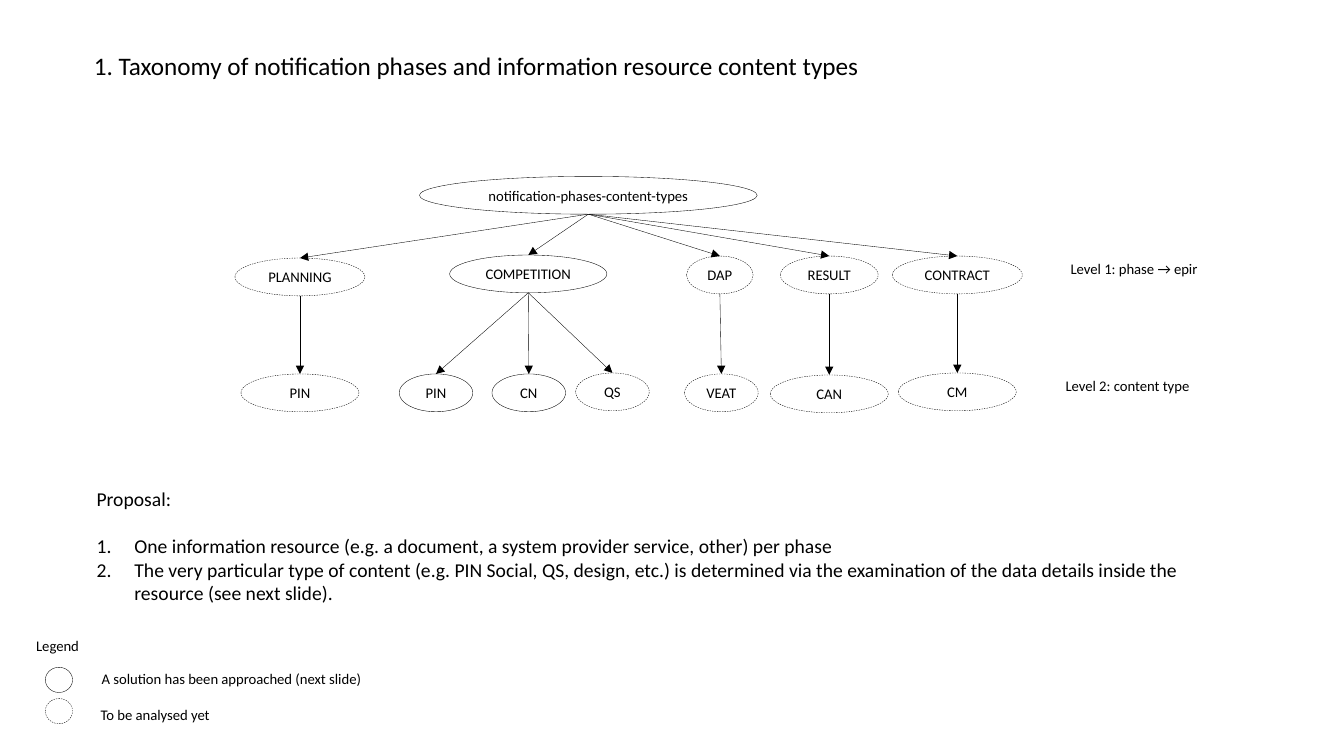
import dataclasses

import pptx
import pptx.dml.color
import pptx.enum.dml
import pptx.enum.shapes
import pptx.enum.text
import pptx.oxml.ns
import pptx.util
from lxml import etree
from pptx.util import Inches


@dataclasses.dataclass(frozen=True)
class Theme:
    font: str = "Calibri"
    ink: pptx.dml.color.RGBColor = pptx.dml.color.RGBColor(0, 0, 0)
    paper: pptx.dml.color.RGBColor = pptx.dml.color.RGBColor(255, 255, 255)
    title: float = 18
    body: float = 14
    label: float = 10.5
    line: float = 0.25


theme = Theme()
align = pptx.enum.text.PP_ALIGN
anchor = pptx.enum.text.MSO_ANCHOR
fit_text = pptx.enum.text.MSO_AUTO_SIZE.SHAPE_TO_FIT_TEXT
qualified = pptx.oxml.ns.qn


def write_text(paragraph, text, size=theme.label, alignment=align.LEFT, space_before=0, numbered=False):
    paragraph.alignment = alignment
    paragraph.space_before = pptx.util.Pt(space_before)
    if numbered:
        properties = paragraph._p.get_or_add_pPr()
        properties.set("marL", str(Inches(0.375)))
        properties.set("indent", str(Inches(-0.375)))
        etree.SubElement(properties, qualified("a:buAutoNum"), type="arabicPeriod")
    run = paragraph.add_run()
    run.text = text
    run.font.name = theme.font
    run.font.size = pptx.util.Pt(size)
    run.font.color.rgb = theme.ink


def add_ellipse(text, left, top, width, height, solved):
    shape = slide.shapes.add_shape(
        pptx.enum.shapes.MSO_SHAPE.OVAL, Inches(left), Inches(top), Inches(width), Inches(height))
    shape.shadow.inherit = False
    shape.fill.background()
    shape.line.color.rgb = theme.ink
    shape.line.width = pptx.util.Pt(theme.line)
    if not solved:
        shape.line.dash_style = pptx.enum.dml.MSO_LINE.DASH
    if text:
        shape.text_frame.word_wrap = False
        shape.text_frame.vertical_anchor = anchor.MIDDLE
        write_text(shape.text_frame.paragraphs[0], text, alignment=align.CENTER)
    return shape


presentation = pptx.Presentation()
presentation.slide_width = Inches(13.33)
presentation.slide_height = Inches(7.5)
slide = presentation.slides.add_slide(presentation.slide_layouts[5])
slide.background.fill.solid()
slide.background.fill.fore_color.rgb = theme.paper

title = slide.shapes.title
title.left, title.top, title.width, title.height = map(Inches, (0.83, 0.45, 7.82, 0.71))
title.text_frame.word_wrap = False
title.text_frame.auto_size = fit_text
title.text_frame.vertical_anchor = anchor.TOP
write_text(title.text_frame.paragraphs[0],
           "1. Taxonomy of notification phases and information resource content types", size=theme.title)

node_height = 0.375
phases = [
    ("PLANNING", 2.33, 2.56, 1.29, False, [("PIN", 2.39, 3.71, 1.17, False)]),
    ("COMPETITION", 4.46, 2.53, 1.56, True, [
        ("PIN", 3.96, 3.71, 0.73, True),
        ("CN", 4.88, 3.71, 0.73, True),
        ("QS", 5.71, 3.7, 0.73, False),
    ]),
    ("DAP", 6.81, 2.54, 0.66, False, [("VEAT", 6.79, 3.71, 0.73, False)]),
    ("RESULT", 7.74, 2.54, 0.97, False, [("CAN", 7.64, 3.72, 1.17, False)]),
    ("CONTRACT", 8.85, 2.54, 1.29, False, [("CM", 8.91, 3.7, 1.17, False)]),
]
root = add_ellipse("notification-phases-content-types", 4.16, 1.75, 3.35, node_height, True)
links = []
for name, left, top, width, solved, contents in phases:
    phase = add_ellipse(name, left, top, width, node_height, solved)
    links.append((root, phase))
    for content, content_left, content_top, content_width, content_solved in contents:
        content_type = add_ellipse(
            content, content_left, content_top, content_width, node_height, content_solved)
        links.append((phase, content_type))

for parent, child in links:
    arrow = slide.shapes.add_connector(
        pptx.enum.shapes.MSO_CONNECTOR.STRAIGHT,
        parent.left + parent.width // 2, parent.top + parent.height,
        child.left + child.width // 2, child.top)
    arrow.line.color.rgb = theme.ink
    arrow.line.width = pptx.util.Pt(theme.line)
    etree.SubElement(arrow.line._get_or_add_ln(), qualified("a:tailEnd"), type="triangle")
    etree.SubElement(arrow._element.spPr, qualified("a:effectLst"))

for top, solved in [(6.62, True), (6.93, False)]:
    add_ellipse("", 0.45, top, 0.27, 0.25, solved)

labels = [
    ("Legend", 0.26, 6.27, 0.65),
    ("A solution has been approached (next slide)", 0.91, 6.6, 2.82),
    ("To be analysed yet", 0.9, 6.95, 1.32),
    ("Level 1: phase → epir", 10.52, 2.53, 1.49),
    ("Level 2: content type", 10.47, 3.69, 1.46),
]
for text, left, top, width in labels:
    label = slide.shapes.add_textbox(Inches(left), Inches(top), Inches(width), Inches(0.28))
    label.text_frame.word_wrap = False
    label.text_frame.auto_size = fit_text
    write_text(label.text_frame.paragraphs[0], text)

proposal = slide.shapes.add_textbox(Inches(0.86), Inches(4.78), Inches(11.17), Inches(1.28))
proposal.text_frame.word_wrap = True
proposal.text_frame.auto_size = fit_text
write_text(proposal.text_frame.paragraphs[0], "Proposal:", size=theme.body)
points = [
    ("One information resource (e.g. a document, a system provider service, other) per phase", 17),
    ("The very particular type of content (e.g. PIN Social, QS, design, etc.) is determined via "
     "the examination of the data details inside the resource (see next slide).", 0),
]
for text, space_before in points:
    write_text(proposal.text_frame.add_paragraph(), text, size=theme.body,
               space_before=space_before, numbered=True)

presentation.save("out.pptx")
